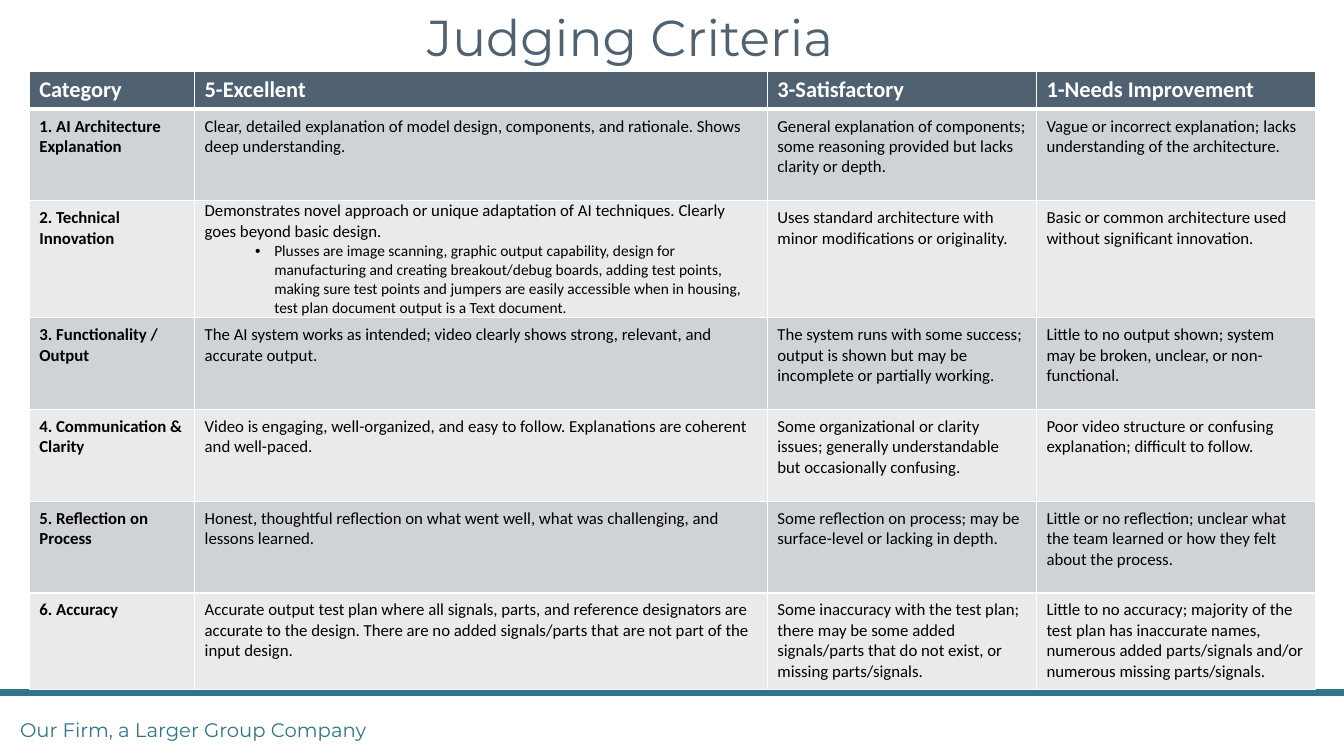
from lxml.etree import SubElement
from pptx import Presentation
from pptx.dml.color import RGBColor
from pptx.enum.shapes import MSO_CONNECTOR
from pptx.enum.text import MSO_ANCHOR, MSO_AUTO_SIZE, PP_ALIGN
from pptx.oxml.ns import qn
from pptx.util import Inches, Pt

# Content
TITLE = "Judging Criteria"
FOOTER = "Our Firm, a Larger Group Company"
HEADER = ("Category", "5-Excellent", "3-Satisfactory", "1-Needs Improvement")
CRITERIA = [
    ("1. AI Architecture Explanation",
     "Clear, detailed explanation of model design, components, and rationale. Shows deep understanding.",
     "General explanation of components; some reasoning provided but lacks clarity or depth.",
     "Vague or incorrect explanation; lacks understanding of the architecture."),
    ("2. Technical Innovation",
     "Demonstrates novel approach or unique adaptation of AI techniques. Clearly goes beyond basic design.",
     "Uses standard architecture with minor modifications or originality.",
     "Basic or common architecture used without significant innovation."),
    ("3. Functionality / Output",
     "The AI system works as intended; video clearly shows strong, relevant, and accurate output.",
     "The system runs with some success; output is shown but may be incomplete or partially working.",
     "Little to no output shown; system may be broken, unclear, or non-functional."),
    ("4. Communication & Clarity",
     "Video is engaging, well-organized, and easy to follow. Explanations are coherent and well-paced.",
     "Some organizational or clarity issues; generally understandable but occasionally confusing.",
     "Poor video structure or confusing explanation; difficult to follow."),
    ("5. Reflection on Process",
     "Honest, thoughtful reflection on what went well, what was challenging, and lessons learned.",
     "Some reflection on process; may be surface-level or lacking in depth.",
     "Little or no reflection; unclear what the team learned or how they felt about the process."),
    ("6. Accuracy",
     "Accurate output test plan where all signals, parts, and reference designators are accurate to the "
     "design. There are no added signals/parts that are not part of the input design.",
     "Some inaccuracy with the test plan; there may be some added signals/parts that do not exist, or "
     "missing parts/signals.",
     "Little to no accuracy; majority of the test plan has inaccurate names, numerous added parts/signals "
     "and/or numerous missing parts/signals."),
]
BONUS_CELL = (2, 1)
BONUS = ("Plusses are image scanning, graphic output capability, design for manufacturing and creating "
         "breakout/debug boards, adding test points, making sure test points and jumpers are easily "
         "accessible when in housing, test plan document output is a Text document.")

# Style and grid
SLATE = RGBColor(0x50, 0x62, 0x72)
TEAL = RGBColor(0x30, 0x76, 0x89)
WHITE = RGBColor(0xFF, 0xFF, 0xFF)
BLACK = RGBColor(0, 0, 0)
BANDS = (RGBColor(0xD0, 0xD3, 0xD5), RGBColor(0xE9, 0xEA, 0xEB))
COLUMN_WIDTHS = (1.64, 5.68, 2.67, 2.77)
ROW_HEIGHTS = (0.36, 0.91, 1.16, 0.91, 0.91, 0.91, 0.96)
TABLE_LEFT, TABLE_TOP = 0.29, 0.71
RULE_TOP = 6.87


def write(paragraph, text, size, color, font="Calibri", bold=False, align=PP_ALIGN.LEFT, spacing=1.0):
    paragraph.alignment = align
    paragraph.line_spacing = spacing
    run = paragraph.add_run()
    run.text = text
    run.font.size = Pt(size)
    run.font.name = font
    run.font.bold = bold
    run.font.color.rgb = color


def place(shape, left, top, width, height):
    shape.left, shape.top = Inches(left), Inches(top)
    shape.width, shape.height = Inches(width), Inches(height)
    frame = shape.text_frame
    frame.word_wrap = True
    frame.auto_size = MSO_AUTO_SIZE.NONE
    frame.vertical_anchor = MSO_ANCHOR.TOP
    return frame.paragraphs[0]


def add_bullet(paragraph, margin, indent):
    properties = paragraph._p.get_or_add_pPr()
    properties.set("marL", str(Inches(margin)))
    properties.set("indent", str(Inches(indent)))
    SubElement(properties, qn("a:buFont"), typeface="Arial")
    SubElement(properties, qn("a:buChar"), char="•")


def style_cell(cell, fill, bottom_width, inset):
    # Borders come before the fill in the cell properties
    properties = cell._tc.get_or_add_tcPr()
    for side, width in (("L", 1), ("R", 1), ("T", 1), ("B", bottom_width)):
        border = SubElement(properties, qn(f"a:ln{side}"), w=str(Pt(width)))
        solid = SubElement(border, qn("a:solidFill"))
        SubElement(solid, qn("a:srgbClr"), val=str(WHITE))
    cell.fill.solid()
    cell.fill.fore_color.rgb = fill
    cell.margin_left = cell.margin_right = Inches(0.1)
    cell.margin_top = cell.margin_bottom = Inches(inset)


presentation = Presentation()
presentation.slide_width, presentation.slide_height = Inches(13.33), Inches(7.5)
slide = presentation.slides.add_slide(presentation.slide_layouts[5])

# Title
write(place(slide.shapes.title, 0.5, 0.08, 11.5, 1.45), TITLE, 36, SLATE,
      font="Montserrat", align=PP_ALIGN.CENTER, spacing=0.9)

# Footer rule and text
rule = slide.shapes.add_connector(MSO_CONNECTOR.STRAIGHT, 0, Inches(RULE_TOP),
                                  presentation.slide_width, Inches(RULE_TOP))
rule.line.color.rgb = TEAL
rule.line.width = Pt(4.5)
SubElement(rule._element.spPr, qn("a:effectLst"))
footer = slide.shapes.add_textbox(0, 0, 0, 0)
write(place(footer, 0.1, 7.1, 4.21, 0.4), FOOTER, 14, TEAL, font="Montserrat", spacing=0.9)

# Criteria table
rows = [HEADER] + CRITERIA
table = slide.shapes.add_table(len(rows), len(HEADER), Inches(TABLE_LEFT), Inches(TABLE_TOP),
                               Inches(sum(COLUMN_WIDTHS)), Inches(sum(ROW_HEIGHTS))).table
for column, width in zip(table.columns, COLUMN_WIDTHS):
    column.width = Inches(width)
for row_index, (texts, height) in enumerate(zip(rows, ROW_HEIGHTS)):
    table.rows[row_index].height = Inches(height)
    for column_index, text in enumerate(texts):
        cell = table.cell(row_index, column_index)
        paragraph = cell.text_frame.paragraphs[0]
        if row_index == 0:
            style_cell(cell, SLATE, bottom_width=3, inset=0.05)
            write(paragraph, text, 16, WHITE, bold=True)
            continue
        has_bonus = (row_index, column_index) == BONUS_CELL
        style_cell(cell, BANDS[(row_index - 1) % 2], bottom_width=1, inset=0 if has_bonus else 0.07)
        write(paragraph, text, 12, BLACK, bold=column_index == 0)
        if has_bonus:
            bonus = cell.text_frame.add_paragraph()
            bonus.level = 1
            add_bullet(bonus, 0.69, -0.19)
            write(bonus, BONUS, 11, BLACK)

presentation.save("out.pptx")
